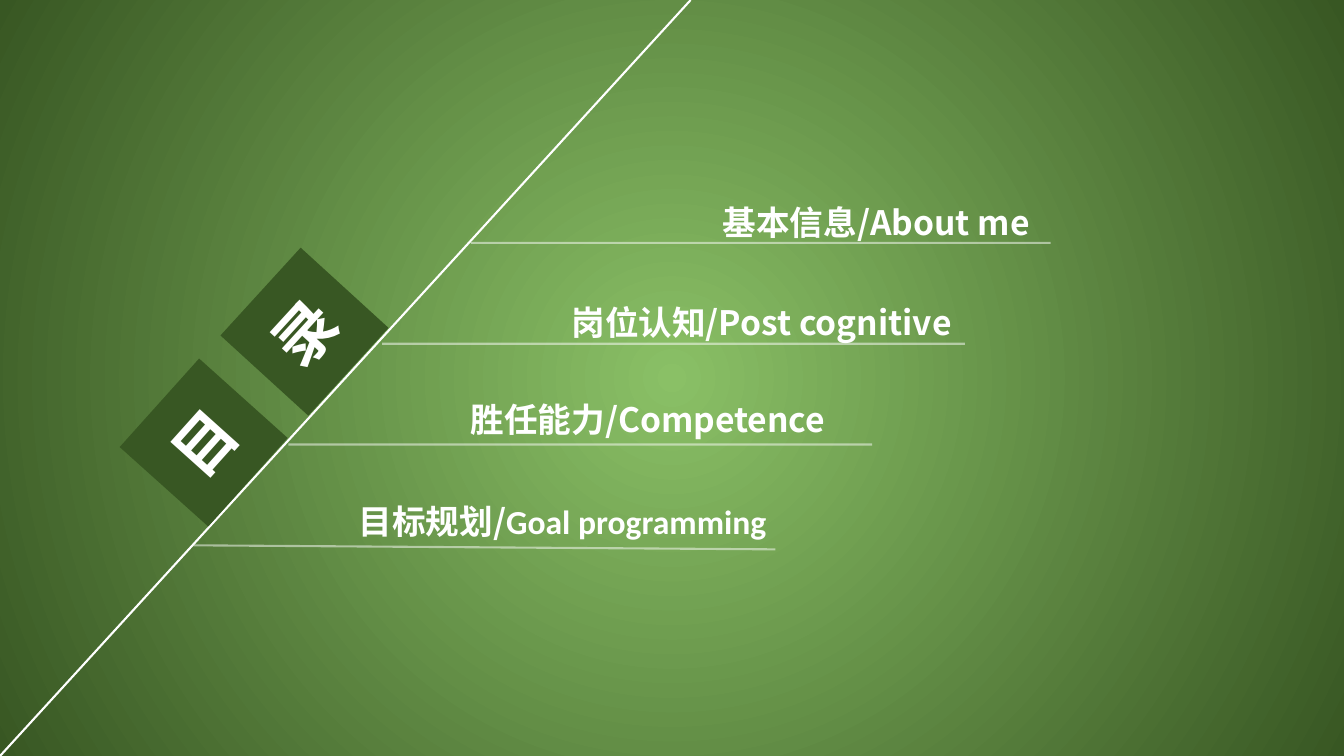
from lxml.etree import SubElement
from pptx import Presentation
from pptx.dml.color import RGBColor
from pptx.enum.shapes import MSO_CONNECTOR, MSO_SHAPE
from pptx.enum.text import MSO_ANCHOR, PP_ALIGN
from pptx.oxml.ns import qn
from pptx.util import Inches, Pt

WHITE = RGBColor(0xFF, 0xFF, 0xFF)
DARK_GREEN = RGBColor(0x38, 0x57, 0x23)
LIGHT_GREEN = RGBColor(0x8A, 0xC0, 0x66)
CJK_FONT = "Noto Sans CJK SC"


def add_run(p, text, size, font=CJK_FONT):
    r = p.add_run()
    r.text = text
    r.font.size = Pt(size)
    r.font.bold = True
    r.font.color.rgb = WHITE
    r.font.name = font
    SubElement(r.font._element, qn("a:ea"), typeface=font)


def add_line(slide, x1, y1, x2, y2, alpha=None):
    line = slide.shapes.add_connector(
        MSO_CONNECTOR.STRAIGHT, Inches(x1), Inches(y1), Inches(x2), Inches(y2))
    line.line.color.rgb = WHITE
    line.line.width = Pt(1.5)
    spPr = line._element.spPr
    if alpha:
        SubElement(spPr.find(".//" + qn("a:srgbClr")), qn("a:alpha"), val=str(alpha * 1000))
    SubElement(spPr, qn("a:effectLst"))


prs = Presentation()
prs.slide_width = Inches(13.33)
prs.slide_height = Inches(7.5)
slide = prs.slides.add_slide(prs.slide_layouts[6])

# Radial green background
fill = slide.background.fill
fill.gradient()
for stop, color, position in zip(fill.gradient_stops, (LIGHT_GREEN, DARK_GREEN), (0, 1)):
    stop.color.rgb = color
    stop.position = position
grad = slide.element.find(".//" + qn("a:gradFill"))
grad.remove(grad.find(qn("a:lin")))
circle = SubElement(grad, qn("a:path"), path="circle")
SubElement(circle, qn("a:fillToRect"), l="50000", t="50000", r="50000", b="50000")

# Diagonal line
add_line(slide, 0, 7.5, 6.85, 0)

# Heading squares resting on the diagonal
for char, x, y, angle in (("目", 1.43, 3.8, 311.9), ("录", 2.43, 2.7, 312.4)):
    sp = slide.shapes.add_shape(
        MSO_SHAPE.RECTANGLE, Inches(x), Inches(y), Inches(1.18), Inches(1.18))
    sp.rotation = angle
    sp.shadow.inherit = False
    sp.fill.solid()
    sp.fill.fore_color.rgb = DARK_GREEN
    sp.line.fill.background()
    tf = sp.text_frame
    tf.vertical_anchor = MSO_ANCHOR.MIDDLE
    p = tf.paragraphs[0]
    p.alignment = PP_ALIGN.CENTER
    add_run(p, char, 44)

# Rules under the entries: left, right, drop at the right end
rules = ((4.67, 10.42, 0), (3.79, 9.57, 0), (2.86, 8.65, 0), (1.92, 7.69, 0.04))
for i, (left, right, drop) in enumerate(rules):
    y = 2.41 + i
    add_line(slide, left, y, right, y + drop, alpha=50)

# Contents entries
entries = (
    (7.07, 1.95, 3.95, (("基本信息/About me", CJK_FONT),)),
    (5.57, 2.95, 4.57, (("岗位认知/Post cognitive", CJK_FONT),)),
    (4.57, 3.91, 4.57, (("胜任能力/Competence", CJK_FONT),)),
    (3.46, 4.92, 4.57, (("目标规划/", CJK_FONT), ("Goal programming", "Calibri"))),
)
for x, y, width, runs in entries:
    tf = slide.shapes.add_textbox(
        Inches(x), Inches(y), Inches(width), Inches(0.5)).text_frame
    tf.word_wrap = True
    for text, font in runs:
        add_run(tf.paragraphs[0], text, 24, font)

prs.save("out.pptx")
